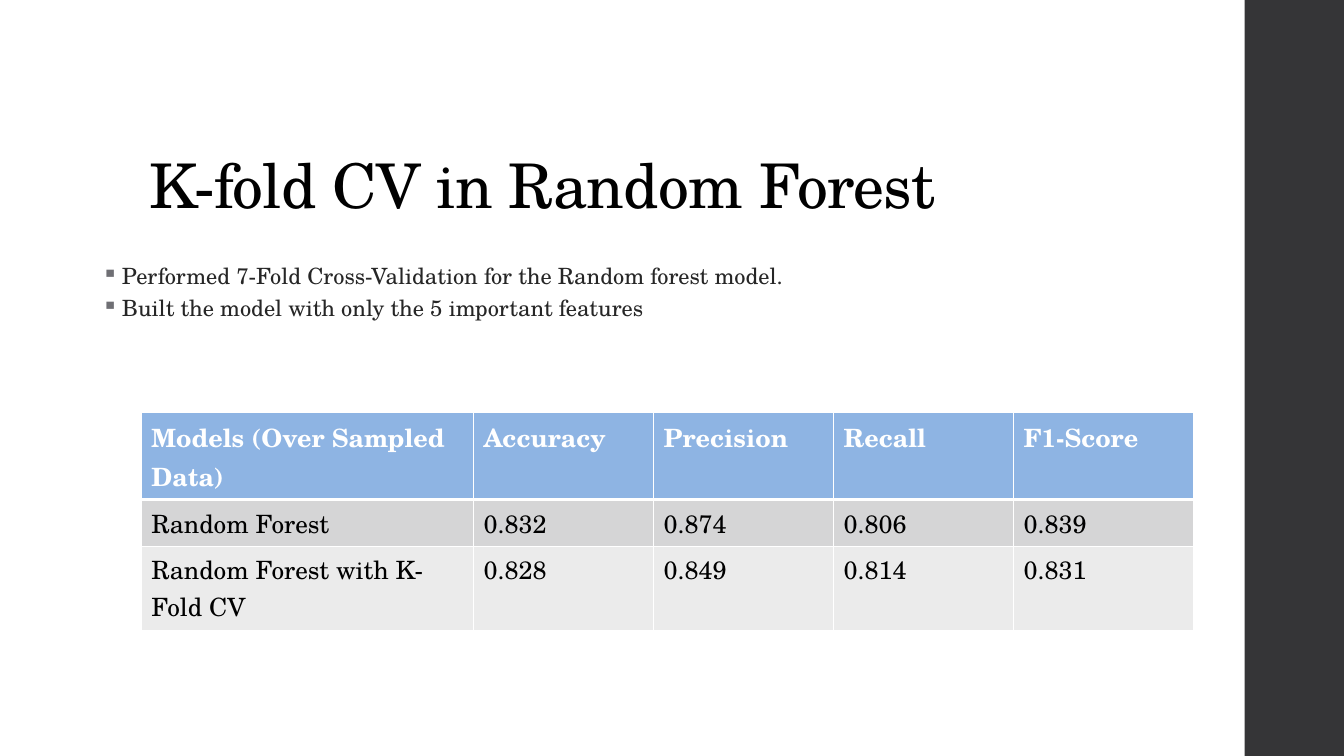
from lxml.etree import SubElement
from pptx import Presentation
from pptx.dml.color import RGBColor
from pptx.enum.shapes import MSO_SHAPE
from pptx.enum.text import MSO_ANCHOR
from pptx.oxml.ns import qn
from pptx.util import Pt

COLORS = {
    "white": "FFFFFF", "black": "000000", "band": "353537", "text": "262626",
    "bullet": "6F6F74", "head": "8EB4E3", "odd": "D5D5D6", "even": "EBEBEB",
}
WIDTH, HEIGHT = 960, 540
BAND = 71
POINTS = [
    "Performed 7-Fold Cross-Validation for the Random forest model.",
    "Built the model with only the 5 important features",
]
SCORES = [
    ["Models (Over Sampled Data)", "Accuracy", "Precision", "Recall", "F1-Score"],
    ["Random Forest", "0.832", "0.874", "0.806", "0.839"],
    ["Random Forest with K-Fold CV", "0.828", "0.849", "0.814", "0.831"],
]


def color(name):
    return RGBColor.from_string(COLORS[name])


class Deck:
    face = "TeX Gyre Schola"

    def __init__(self, slide):
        self.slide = slide

    def style(self, para, size, ink, bold=False):
        font = para.font
        font.name, font.size, font.bold = self.face, Pt(size), bold
        font.color.rgb = color(ink)

    def rect(self, left, top, width, height, fill):
        shape = self.slide.shapes.add_shape(
            MSO_SHAPE.RECTANGLE, Pt(left), Pt(top), Pt(width), Pt(height))
        shape.shadow.inherit = False
        shape.fill.solid()
        shape.fill.fore_color.rgb = color(fill)
        shape.line.fill.background()

    def text(self, left, top, width, height, lines, size, ink,
             anchor=MSO_ANCHOR.TOP):
        """Add a text box and return its paragraphs."""
        box = self.slide.shapes.add_textbox(
            Pt(left), Pt(top), Pt(width), Pt(height))
        frame = box.text_frame
        frame.word_wrap = True
        frame.vertical_anchor = anchor
        frame.text = "\n".join(lines)
        for para in frame.paragraphs:
            para.line_spacing = 0.9
            self.style(para, size, ink)
        return frame.paragraphs

    def title(self, left, top, width, height, line):
        para, = self.text(left, top, width, height, [line], 44, "black",
                          MSO_ANCHOR.BOTTOM)
        para._p.pPr.find(qn("a:defRPr")).set("spc", "-50")

    def bullets(self, left, top, width, height, lines):
        for para in self.text(left, top, width, height, lines, 16, "text"):
            para.space_before = para.space_after = Pt(3)
            props = para._p.get_or_add_pPr()
            props.set("marL", str(Pt(27.4)))
            props.set("indent", str(Pt(-14.4)))
            tint = SubElement(props, qn("a:buClr"))
            SubElement(tint, qn("a:srgbClr"), val=COLORS["bullet"])
            SubElement(props, qn("a:buChar"), char="▪")
            props.append(props.find(qn("a:defRPr")))

    def border(self, cell, side, width):
        props = cell._tc.get_or_add_tcPr()
        line = SubElement(props, qn("a:ln" + side), w=str(Pt(width)))
        fill = SubElement(line, qn("a:solidFill"))
        SubElement(fill, qn("a:srgbClr"), val=COLORS["white"])

    def table(self, left, top, widths, heights, rows, fills):
        grid = self.slide.shapes.add_table(
            len(rows), len(widths), Pt(left), Pt(top),
            Pt(sum(widths)), Pt(sum(heights))).table
        for col, width in zip(grid.columns, widths):
            col.width = Pt(width)
        for i, row in enumerate(rows):
            grid.rows[i].height = Pt(heights[i])
            head = i == 0
            for j, value in enumerate(row):
                cell = grid.cell(i, j)
                cell.text = value
                self.style(cell.text_frame.paragraphs[0], 18,
                           "white" if head else "black", head)
                edges = {"L": 1, "R": 1, "T": 3 if i == 1 else 1,
                         "B": 3 if head else 1}
                for side, width in edges.items():
                    self.border(cell, side, width)
                cell.fill.solid()
                cell.fill.fore_color.rgb = color(fills[i])


def main():
    show = Presentation()
    show.slide_width, show.slide_height = Pt(WIDTH), Pt(HEIGHT)
    deck = Deck(show.slides.add_slide(show.slide_layouts[6]))
    deck.rect(WIDTH - BAND, 0, BAND, HEIGHT, "band")
    deck.title(99.4, 28.8, 763, 133.2, "K-fold CV in Random Forest")
    deck.bullets(52.6, 185.8, 830, 67.7, POINTS)
    deck.table(101, 294.8, [237.2] + [128.6] * 4, [62, 33.5, 60],
               SCORES, ["head", "odd", "even"])
    show.save("out.pptx")


if __name__ == "__main__":
    main()
